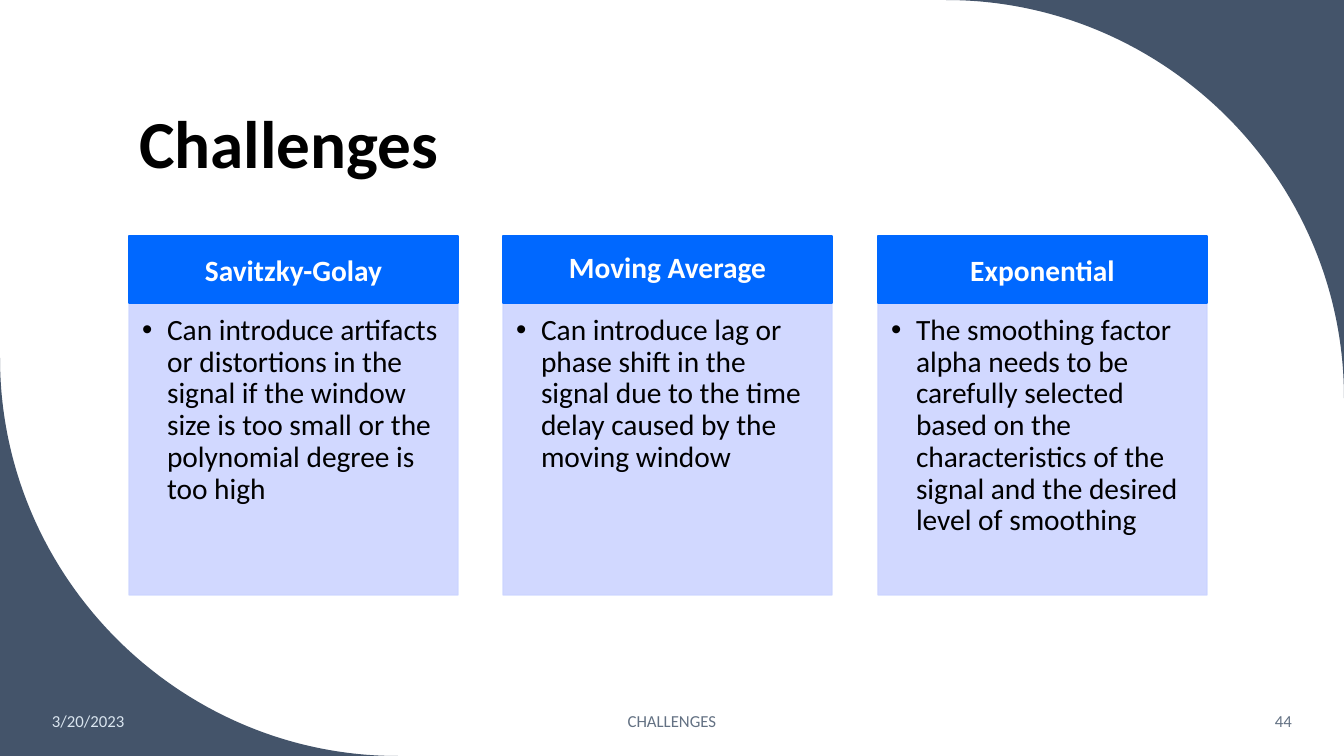
from dataclasses import dataclass

from lxml import etree
from pptx import Presentation
from pptx import util as u
from pptx.dml.color import RGBColor
from pptx.enum import shapes, text
from pptx.oxml.ns import qn

EMU_PER_PX = 914400 / 100.8
WIDTH, HEIGHT = 1344, 756
CORNER_RADIUS = 398
ARC_PULL = 0.55
LEFT, COLUMN_WIDTH, TWO_COLUMN_STEP = 129, 329, 749
HEADER_TOP, HEADER_HEIGHT, LIST_HEIGHT = 236, 67, 292
LIST_INDENT = 25


@dataclass(frozen=True)
class Theme:
    font: str = "Calibri"
    slate: str = "44546A"
    header: str = "0068FF"
    panel: str = "CCD4FF"
    black: str = "000000"
    white: str = "FFFFFF"
    date: str = "DAE5EF"
    footer: str = "637183"
    title_size: int = 48
    column_size: int = 21
    footer_size: int = 12
    panel_opacity: int = 90


THEME = Theme()

COLUMNS = [
    ("Savitzky-Golay", 1.0,
     "Can introduce artifacts or distortions in the signal if the window size "
     "is too small or the polynomial degree is too high"),
    ("Moving Average", 0.9,
     "Can introduce lag or phase shift in the signal due to the time delay "
     "caused by the moving window"),
    ("Exponential", 1.0,
     "The smoothing factor alpha needs to be carefully selected based on the "
     "characteristics of the signal and the desired level of smoothing"),
]


def px(length):
    return u.Emu(round(length * EMU_PER_PX))


def place(shape, left, top, width, height):
    shape.left, shape.top = px(left), px(top)
    shape.width, shape.height = px(width), px(height)


def paint(shape, color, opacity=100):
    shape.fill.solid()
    shape.line.fill.solid()
    shape.line.width = u.Pt(1)
    for fill in (shape.fill, shape.line.fill):
        fill.fore_color.rgb = RGBColor.from_string(color)
    if opacity < 100:
        for element in shape._element.spPr.iter(qn("a:srgbClr")):
            etree.SubElement(element, qn("a:alpha"), val=str(opacity * 1000))


def add_bullet(paragraph):
    properties = paragraph._p.get_or_add_pPr()
    properties.set("marL", str(px(LIST_INDENT)))
    properties.set("indent", str(-px(LIST_INDENT)))
    etree.SubElement(properties, qn("a:buFont"), typeface="Arial")
    etree.SubElement(properties, qn("a:buChar"), char="•")


def write_text(shape, words, *, size, color, bold=False, bullet=False,
               align=text.PP_ALIGN.LEFT, anchor=text.MSO_ANCHOR.MIDDLE,
               spacing=1.0, insets=(10, 5, 10, 5)):
    frame = shape.text_frame
    frame.word_wrap = True
    frame.auto_size = text.MSO_AUTO_SIZE.NONE
    frame.vertical_anchor = anchor
    (frame.margin_left, frame.margin_top,
     frame.margin_right, frame.margin_bottom) = map(px, insets)
    frame.text = words
    paragraph = frame.paragraphs[0]
    if bullet:
        add_bullet(paragraph)
    paragraph.alignment = align
    paragraph.line_spacing = spacing
    paragraph.space_before = u.Pt(0)
    font = paragraph.runs[0].font
    font.name, font.size, font.bold = THEME.font, u.Pt(size), bold
    font.color.rgb = RGBColor.from_string(color)


def bend_edge(edge, start, corner, end):
    curve = etree.Element(qn("a:cubicBezTo"))
    controls = [[near + ARC_PULL * (far - near)
                 for near, far in zip(point, corner)]
                for point in (start, end)]
    for x, y in (*controls, end):
        etree.SubElement(curve, qn("a:pt"), x=str(round(x)), y=str(round(y)))
    edge.getparent().replace(edge, curve)


def add_corner(slide, corner, start, end):
    builder = slide.shapes.build_freeform(*map(px, corner))
    builder.add_line_segments([tuple(map(px, start)), tuple(map(px, end))])
    shape = builder.convert_to_shape()
    shape.shadow.inherit = False
    paint(shape, THEME.slate)
    shape.line.fill.background()
    points = [(int(point.get("x")), int(point.get("y")))
              for point in shape._element.iter(qn("a:pt"))]
    edges = list(shape._element.iter(qn("a:lnTo")))
    bend_edge(edges[1], points[1], points[0], points[2])


def add_header(slide, left, words, spacing):
    shape = slide.shapes.add_shape(
        shapes.MSO_SHAPE.RECTANGLE, px(left), px(HEADER_TOP),
        px(COLUMN_WIDTH), px(HEADER_HEIGHT))
    shape.shadow.inherit = False
    paint(shape, THEME.header)
    write_text(shape, words, size=THEME.column_size, color=THEME.white,
               bold=True, align=text.PP_ALIGN.CENTER, spacing=spacing,
               insets=(16, 9, 16, 9))


def fill_list(placeholder, left, words):
    place(placeholder, left, HEADER_TOP + HEADER_HEIGHT,
          COLUMN_WIDTH, LIST_HEIGHT)
    paint(placeholder, THEME.panel, THEME.panel_opacity)
    write_text(placeholder, words, size=THEME.column_size, color=THEME.black,
               bullet=True, anchor=text.MSO_ANCHOR.TOP, spacing=0.9,
               insets=(13, 12, 16, 18))


def add_footer(slide, left, width, words, color, align):
    box = slide.shapes.add_textbox(px(left), px(701), px(width), px(40))
    write_text(box, words, size=THEME.footer_size, color=color, align=align)


def main():
    presentation = Presentation()
    presentation.slide_width, presentation.slide_height = px(WIDTH), px(HEIGHT)
    slide = presentation.slides.add_slide(
        presentation.slide_layouts.get_by_name("Comparison"))
    title, *bodies = list(slide.placeholders)

    add_corner(slide, (WIDTH, 0), (WIDTH - CORNER_RADIUS, 0),
               (WIDTH, CORNER_RADIUS))
    add_corner(slide, (0, HEIGHT), (CORNER_RADIUS, HEIGHT),
               (0, HEIGHT - CORNER_RADIUS))

    place(title, LEFT, 42, 1078, 146)
    write_text(title, "Challenges", size=THEME.title_size, color=THEME.black,
               bold=True, anchor=text.MSO_ANCHOR.BOTTOM, spacing=0.9)

    for index, (heading, spacing, challenge) in enumerate(COLUMNS):
        left = LEFT + index * TWO_COLUMN_STEP // 2
        add_header(slide, left, heading, spacing)
        fill_list(bodies[index], left, challenge)
    for unused in bodies[len(COLUMNS):]:
        unused._element.getparent().remove(unused._element)

    add_footer(slide, 42, 187, "3/20/2023", THEME.date, text.PP_ALIGN.LEFT)
    add_footer(slide, 445, 454, "CHALLENGES", THEME.footer,
               text.PP_ALIGN.CENTER)
    add_footer(slide, 1119, 183, "44", THEME.footer, text.PP_ALIGN.RIGHT)
    presentation.save("out.pptx")


if __name__ == "__main__":
    main()
